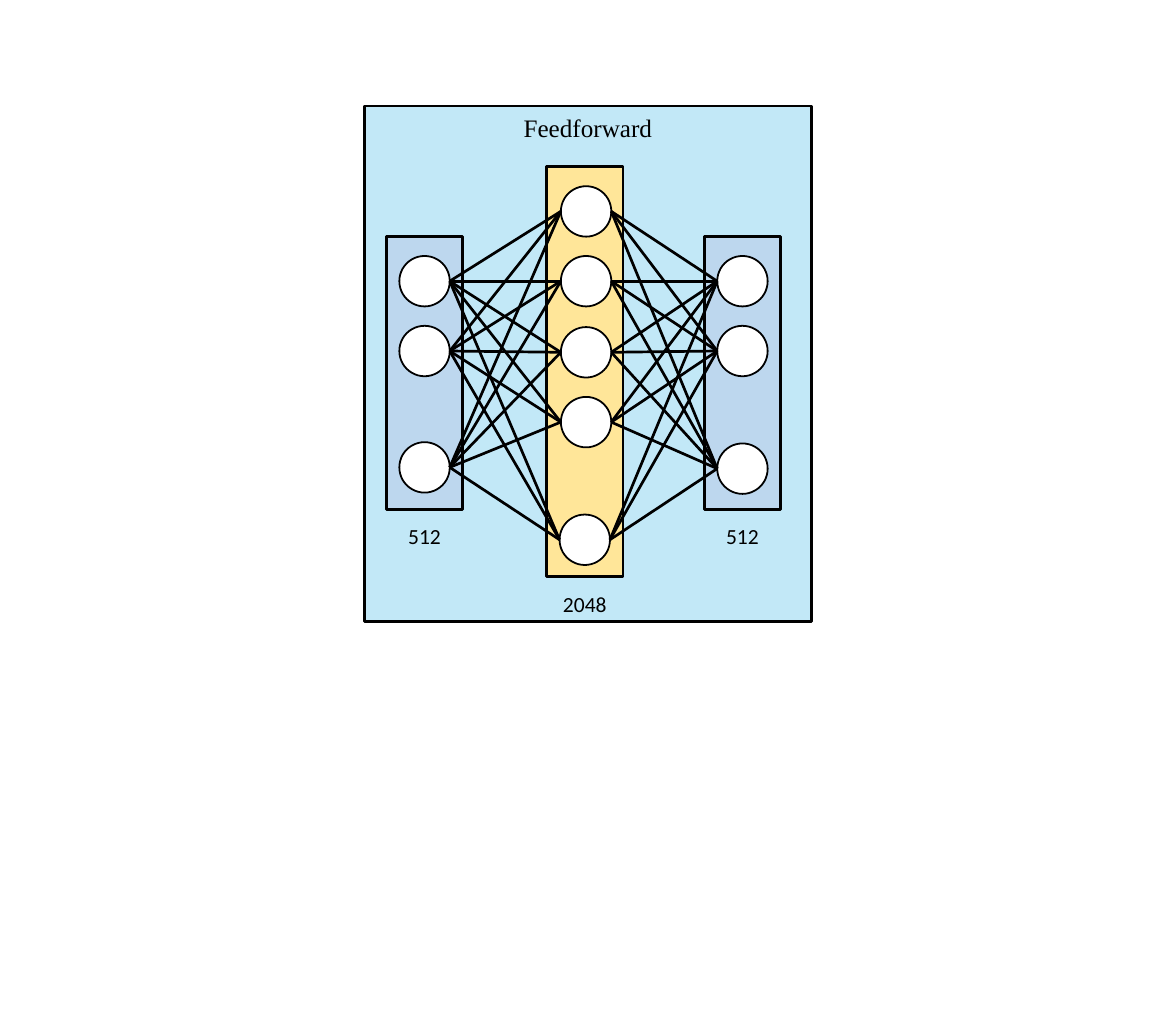
from itertools import pairwise, product

from lxml import etree
from pptx import Presentation
from pptx.dml.color import RGBColor
from pptx.enum.shapes import MSO_CONNECTOR, MSO_SHAPE
from pptx.enum.text import MSO_ANCHOR, PP_ALIGN
from pptx.oxml.ns import qn
from pptx.util import Cm, Inches, Pt

# Content: layers from left to right, lengths in inches, nodes as (left, top)
TITLE = "Feedforward"
PANEL = (2.82, 0.82, 3.46, 3.99)
LAYERS = [
    {"size": "512", "left": 2.99, "top": 1.83, "height": 2.11, "fill": "outer",
     "nodes": [(3.09, 1.98), (3.09, 2.52), (3.09, 3.42)]},
    {"size": "2048", "left": 4.23, "top": 1.29, "height": 3.17, "fill": "hidden",
     "nodes": [(4.34, 1.44), (4.34, 1.98), (4.34, 2.53), (4.34, 3.07), (4.33, 3.98)]},
    {"size": "512", "left": 5.45, "top": 1.83, "height": 2.11, "fill": "outer",
     "nodes": [(5.55, 1.98), (5.55, 2.52), (5.55, 3.43)]},
]
LAYER_WIDTH = 0.59
NODE = 0.39
LABEL_GAP, LABEL_HEIGHT = 0.06, 0.3

THEME = {
    "panel": "C2E8F7", "outer": "BDD7EE", "hidden": "FFE699",
    "node": "FFFFFF", "ink": "000000",
    "title_font": "Times New Roman", "title_size": 14,
    "label_font": "Calibri", "label_size": 12,
    "line": 1.5, "node_line": 1,
}


def color(name):
    return RGBColor.from_string(THEME[name])


def write(shape, text, *, font, size, wrap=True):
    frame = shape.text_frame
    frame.word_wrap = wrap
    frame.vertical_anchor = MSO_ANCHOR.TOP
    para = frame.paragraphs[0]
    para.alignment = PP_ALIGN.CENTER
    span = para.add_run()
    span.text = text
    span.font.name = font
    span.font.size = Pt(size)
    span.font.color.rgb = color("ink")


def add_block(page, kind, bounds, fill, line_width):
    shape = page.shapes.add_shape(kind, *map(Inches, bounds))
    shape.shadow.inherit = False
    shape.fill.solid()
    shape.fill.fore_color.rgb = color(fill)
    shape.line.color.rgb = color("ink")
    shape.line.width = Pt(line_width)
    return shape


def add_link(page, start, end):
    link = page.shapes.add_connector(MSO_CONNECTOR.STRAIGHT, *map(Inches, start + end))
    link.line.color.rgb = color("ink")
    link.line.width = Pt(THEME["line"])
    etree.SubElement(link._element.spPr, qn("a:effectLst"))


def add_layer(page, layer):
    bounds = (layer["left"], layer["top"], LAYER_WIDTH, layer["height"])
    add_block(page, MSO_SHAPE.RECTANGLE, bounds, layer["fill"], THEME["line"])
    for left, top in layer["nodes"]:
        add_block(page, MSO_SHAPE.OVAL, (left, top, NODE, NODE), "node", THEME["node_line"])


def add_label(page, layer):
    top = layer["top"] + layer["height"] + LABEL_GAP
    bounds = (layer["left"], top, LAYER_WIDTH, LABEL_HEIGHT)
    box = page.shapes.add_textbox(*map(Inches, bounds))
    write(box, layer["size"], font=THEME["label_font"], size=THEME["label_size"], wrap=False)


def main():
    deck = Presentation()
    deck.slide_width = Inches(9.1)
    deck.slide_height = Cm(20)
    page = deck.slides.add_slide(deck.slide_layouts[6])

    # Panel with title
    panel = add_block(page, MSO_SHAPE.RECTANGLE, PANEL, "panel", THEME["line"])
    write(panel, TITLE, font=THEME["title_font"], size=THEME["title_size"])

    # Layers and their nodes
    for layer in LAYERS:
        add_layer(page, layer)

    # Every node joins every node of the next layer
    for source, target in pairwise(LAYERS):
        for (left, top), (next_left, next_top) in product(source["nodes"], target["nodes"]):
            add_link(page, (left + NODE, top + NODE / 2), (next_left, next_top + NODE / 2))

    # Layer sizes
    for layer in LAYERS:
        add_label(page, layer)

    deck.save("out.pptx")


if __name__ == "__main__":
    main()
